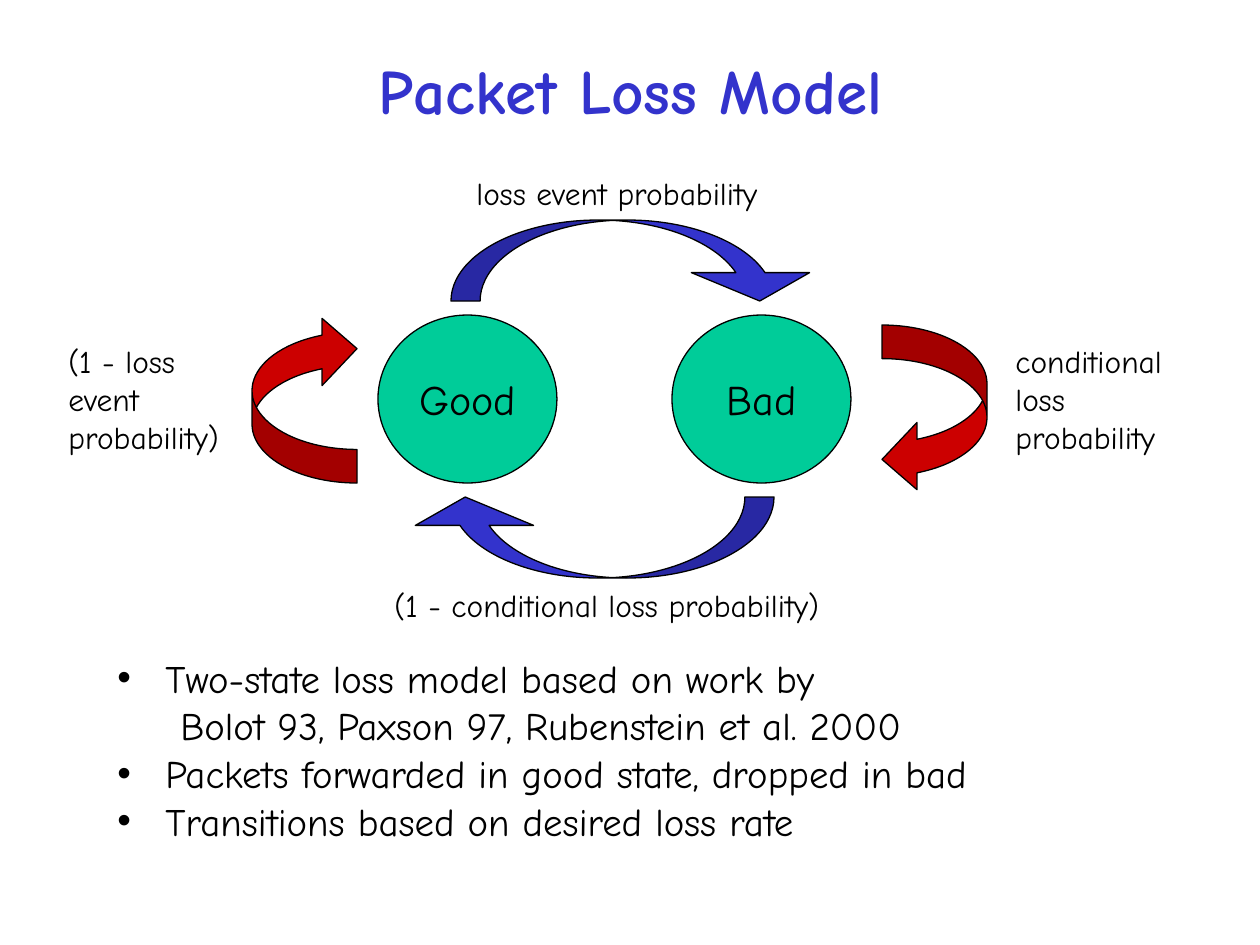
from dataclasses import dataclass

from lxml.etree import SubElement
from pptx import Presentation
from pptx.dml.color import RGBColor
from pptx.enum.shapes import MSO_SHAPE as Shape
from pptx.enum.text import MSO_ANCHOR as Anchor, PP_ALIGN as Align
from pptx.oxml.ns import qn
from pptx.util import Emu, Pt

FONT = "Comic Neue"
COLORS = {"blue": "3333CC", "red": "CC0000", "green": "00CC99", "black": "000000"}
EMU_PER_PX = 914400 / 126


@dataclass(frozen=True)
class Area:
    left: int
    top: int
    width: int
    height: int


@dataclass(frozen=True)
class State:
    name: str
    area: Area


@dataclass(frozen=True)
class Transition:
    preset: Shape
    area: Area
    color: str
    adjustments: tuple[float, float, float]
    rotation: int
    label: str
    label_area: Area


@dataclass(frozen=True)
class BodyLine:
    text: str
    margin: int = 48
    bullet: bool = True


WIDE = (0.36, 1.46, 0.35)
TALL = (0.32, 0.64, 0.3333)
STATES = [
    State("Good", Area(378, 315, 179, 168)),
    State("Bad", Area(672, 315, 179, 168)),
]
TRANSITIONS = [
    Transition(Shape.CURVED_DOWN_ARROW, Area(451, 220, 368, 81), "blue", WIDE, 0,
               "loss event probability", Area(464, 168, 307, 50)),
    Transition(Shape.CURVED_LEFT_ARROW, Area(252, 315, 105, 168), "red", TALL, 180,
               "(1 - loss\nevent\nprobability)", Area(56, 336, 176, 127)),
    Transition(Shape.CURVED_LEFT_ARROW, Area(882, 325, 105, 168), "red", TALL, 0,
               "conditional\nloss\nprobability", Area(1003, 336, 181, 127)),
    Transition(Shape.CURVED_DOWN_ARROW, Area(406, 497, 368, 81), "blue", WIDE, 180,
               "(1 - conditional loss probability)", Area(382, 580, 450, 50)),
]
BODY = [
    BodyLine("Two-state loss model based on work by"),
    BodyLine("Bolot 93, Paxson 97, Rubenstein et al. 2000", 63, False),
    BodyLine("Packets forwarded in good state, dropped in bad"),
    BodyLine("Transitions based on desired loss rate"),
]


def px(length: int) -> Emu:
    """Turn pixels into EMU."""
    return Emu(round(length * EMU_PER_PX))


def bounds(area: Area) -> tuple[Emu, Emu, Emu, Emu]:
    """Return the area in EMU."""
    return px(area.left), px(area.top), px(area.width), px(area.height)


def style_text(frame, size: float, color: str = "black", bold: bool = False,
               align: Align = Align.LEFT) -> None:
    """Format every run of a text frame."""
    for para in frame.paragraphs:
        para.alignment = align
        for span in para.runs:
            span.font.name = FONT
            span.font.size = Pt(size)
            span.font.bold = bold
            span.font.color.rgb = RGBColor.from_string(COLORS[color])


def add_text(page, area: Area, text: str, wrap: bool = False):
    """Add a text box and return its text frame."""
    frame = page.shapes.add_textbox(*bounds(area)).text_frame
    frame.word_wrap = wrap
    frame.text = text
    return frame


def add_filled(page, preset: Shape, area: Area, color: str):
    """Add a preset shape with a thin black outline."""
    shape = page.shapes.add_shape(preset, *bounds(area))
    shape.shadow.inherit = False
    shape.fill.solid()
    shape.fill.fore_color.rgb = RGBColor.from_string(COLORS[color])
    shape.line.color.rgb = RGBColor.from_string(COLORS["black"])
    shape.line.width = Pt(0.75)
    return shape


def draw_state(page, state: State) -> None:
    """Draw one state circle with its name."""
    frame = add_filled(page, Shape.OVAL, state.area, "green").text_frame
    frame.text = state.name
    frame.word_wrap = False
    frame.vertical_anchor = Anchor.MIDDLE
    style_text(frame, 24, align=Align.CENTER)


def draw_transition(page, transition: Transition) -> None:
    """Draw one curved arrow and its label."""
    arrow = add_filled(page, transition.preset, transition.area, transition.color)
    for index, value in enumerate(transition.adjustments):
        arrow.adjustments[index] = value
    arrow.rotation = transition.rotation
    style_text(add_text(page, transition.label_area, transition.label), 18)


def draw_body(page, area: Area, lines: list[BodyLine]) -> None:
    """Draw the bulleted list."""
    frame = add_text(page, area, "\n".join(line.text for line in lines), wrap=True)
    for index, (para, line) in enumerate(zip(frame.paragraphs, lines)):
        para.line_spacing = 0.8
        para.space_before = Pt(6 if index else 0)
        props = para._p.get_or_add_pPr()
        props.set("marL", str(px(line.margin)))
        props.set("indent", str(-px(line.margin) if line.bullet else 0))
        if line.bullet:
            SubElement(props, qn("a:buFont"), typeface="Arial")
            SubElement(props, qn("a:buChar"), char="•")
        else:
            SubElement(props, qn("a:buNone"))
    style_text(frame, 22.2)


def main() -> None:
    """Build the slide and save it."""
    deck = Presentation()
    deck.slide_width, deck.slide_height = px(1260), px(945)
    page = deck.slides.add_slide(deck.slide_layouts[6])
    title = add_text(page, Area(95, 10, 1071, 158), "Packet Loss Model", wrap=True)
    title.vertical_anchor = Anchor.MIDDLE
    style_text(title, 36, "blue", True, Align.CENTER)
    draw_body(page, Area(105, 657, 1071, 204), BODY)
    for state in STATES:
        draw_state(page, state)
    for transition in TRANSITIONS:
        draw_transition(page, transition)
    deck.save("out.pptx")


if __name__ == "__main__":
    main()
